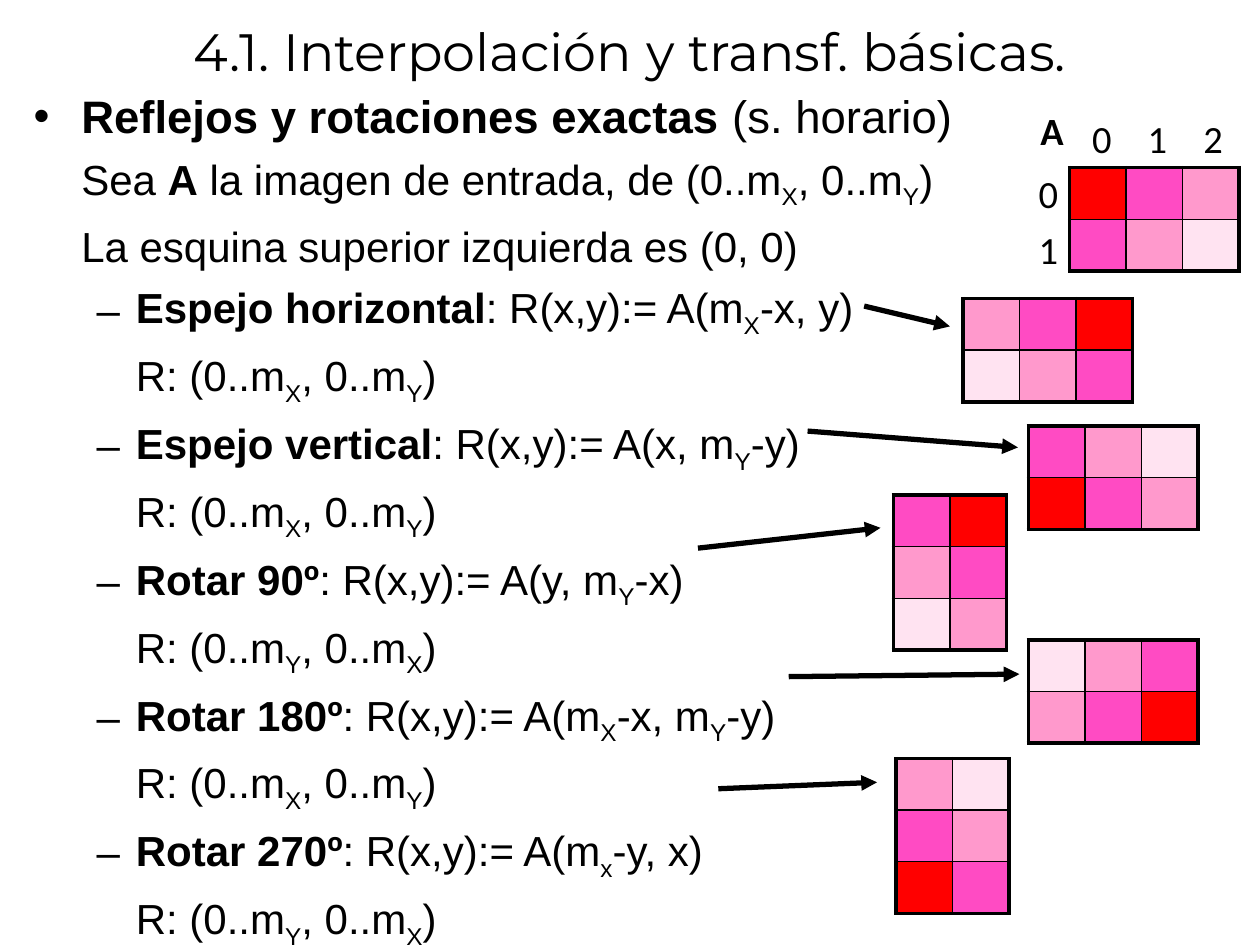
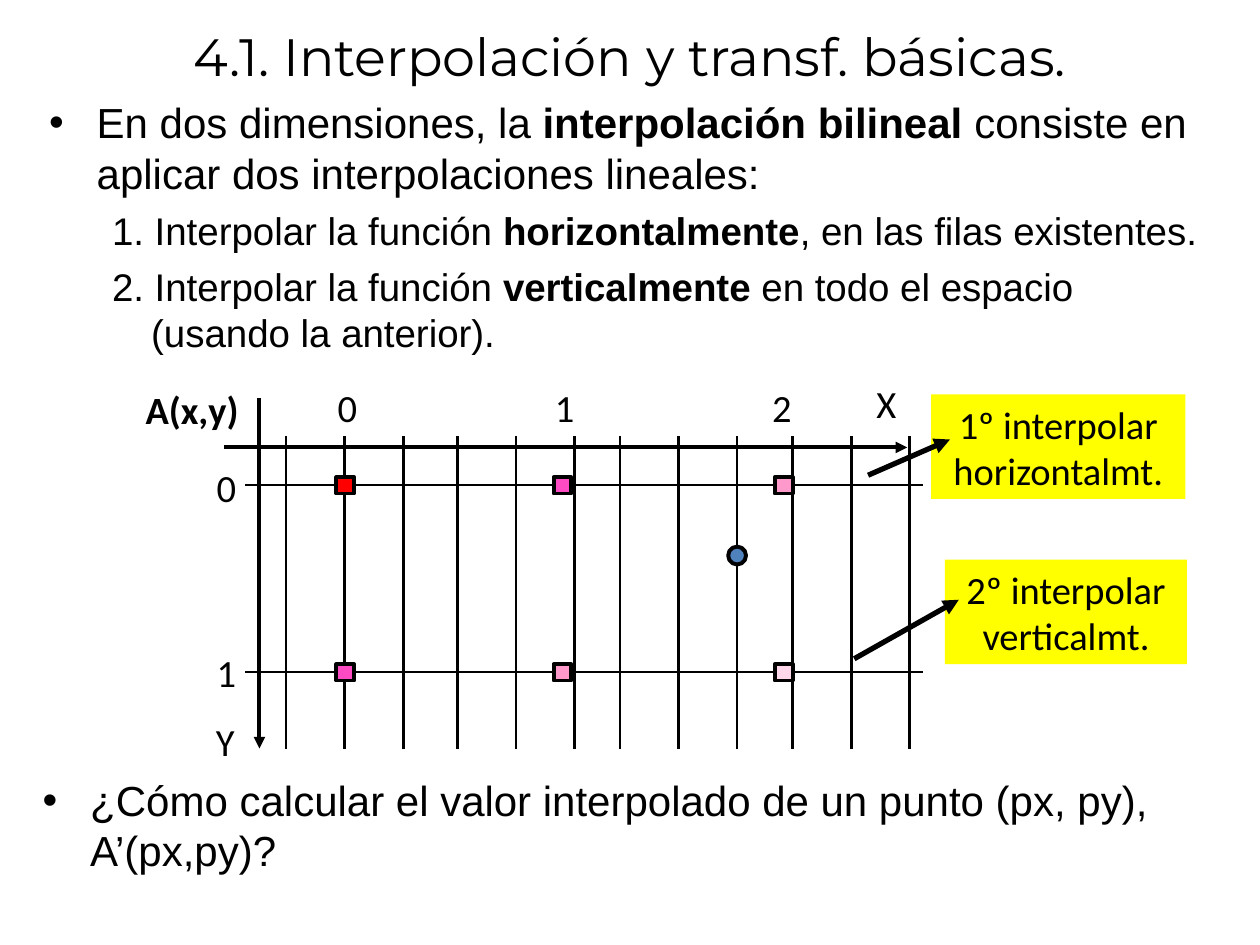
from lxml import etree
from pptx import Presentation
from pptx.dml.color import RGBColor
from pptx.enum.shapes import MSO_CONNECTOR, MSO_SHAPE
from pptx.enum.text import MSO_ANCHOR, PP_ALIGN
from pptx.oxml.ns import qn
from pptx.util import Cm, Pt

STRAIGHT = MSO_CONNECTOR.STRAIGHT
RECTANGLE = MSO_SHAPE.RECTANGLE
OVAL = MSO_SHAPE.OVAL
MIDDLE = MSO_ANCHOR.MIDDLE
TOP = MSO_ANCHOR.TOP
CENTER = PP_ALIGN.CENTER
RIGHT = PP_ALIGN.RIGHT

BLACK, YELLOW, BLUE = "000000", "FFFF00", "4F81BD"
RED, MAGENTA, PINK, PALE, PALE_SAMPLE = "FF0000", "FF4BC3", "FF99CC", "FFE3F1", "FFD7EB"
TITLE_FONT, BODY_FONT, LABEL_FONT = "Montserrat", "Arial", "Calibri"
TITLE = "4.1. Interpolación y transf. básicas."
LABEL_SIZE = 22
CELL_WIDTH, CELL_HEIGHT = 1.14, 1.04
IMAGE_A = [[RED, MAGENTA, PINK], [MAGENTA, PINK, PALE]]

LEVELS = {
    "bullet": (0.96, -0.96, "•"),
    "plain": (0.96, 0, None),
    "dash": (2.06, -0.79, "–"),
    "subplain": (2.06, 0, None),
    "step": (2.06, -0.79, None),
}


def color(hex_code):
    """Turn a hex string into a colour."""
    return RGBColor.from_string(hex_code)


def add_run(paragraph, text, font, size, bold=False, subscript=False):
    """Add one formatted black run to a paragraph."""
    run = paragraph.add_run()
    run.text = text
    run.font.name = font
    run.font.size = Pt(size)
    run.font.bold = bold
    run.font.color.rgb = color(BLACK)
    if subscript:
        run._r.get_or_add_rPr().set("baseline", "-25000")


def add_marked_runs(paragraph, text, size):
    """Add runs, with *bold* and ~subscript~ marks in the text."""
    for bold_index, part in enumerate(text.split("*")):
        for sub_index, piece in enumerate(part.split("~")):
            if piece:
                add_run(paragraph, piece, BODY_FONT, size, bold_index % 2 == 1, sub_index % 2 == 1)


def set_level(paragraph, level):
    """Set the indents and the bullet of a paragraph."""
    margin, indent, bullet = LEVELS[level]
    properties = paragraph._p.get_or_add_pPr()
    properties.set("marL", str(Cm(margin)))
    properties.set("indent", str(Cm(indent)))
    if bullet:
        etree.SubElement(properties, qn("a:buFont")).set("typeface", BODY_FONT)
        etree.SubElement(properties, qn("a:buChar")).set("char", bullet)


def add_text_frame(slide, left, top, width, height, anchor=TOP):
    """Add a wrapping text box and return its text frame."""
    box = slide.shapes.add_textbox(Cm(left), Cm(top), Cm(width), Cm(height))
    box.text_frame.word_wrap = True
    box.text_frame.vertical_anchor = anchor
    return box.text_frame


def add_title(slide, height):
    """Add the title shared by the slides."""
    paragraph = add_text_frame(slide, 0.5, 0, 24.4, height, MIDDLE).paragraphs[0]
    paragraph.alignment = CENTER
    add_run(paragraph, TITLE, TITLE_FONT, 30)


def add_body(slide, left, top, width, height, lines):
    """Add a box of (level, size, text) lines."""
    frame = add_text_frame(slide, left, top, width, height)
    for index, (level, size, text) in enumerate(lines):
        paragraph = frame.add_paragraph() if index else frame.paragraphs[0]
        set_level(paragraph, level)
        if index:
            paragraph.space_before = Pt(size * 0.25)
        add_marked_runs(paragraph, text, size)


def add_label(slide, text, left, top, width=0.97, bold=False):
    """Add a short right-aligned label."""
    paragraph = add_text_frame(slide, left, top, width, 1.19).paragraphs[0]
    paragraph.alignment = RIGHT
    add_run(paragraph, text, LABEL_FONT, LABEL_SIZE, bold)


def add_line(slide, start, end, width, arrow=False):
    """Draw a black line, with an arrowhead at its end if asked."""
    connector = slide.shapes.add_connector(STRAIGHT, *map(Cm, start + end))
    connector.line.color.rgb = color(BLACK)
    connector.line.width = Pt(width)
    properties = connector._element.spPr
    if arrow:
        etree.SubElement(properties.find(qn("a:ln")), qn("a:tailEnd")).set("type", "triangle")
    etree.SubElement(properties, qn("a:effectLst"))


def add_filled_shape(slide, kind, left, top, width, height, fill, outlined=True):
    """Add a filled shape with an optional black outline."""
    shape = slide.shapes.add_shape(kind, Cm(left), Cm(top), Cm(width), Cm(height))
    shape.shadow.inherit = False
    shape.fill.solid()
    shape.fill.fore_color.rgb = color(fill)
    if outlined:
        shape.line.color.rgb = color(BLACK)
        shape.line.width = Pt(2.25)
    else:
        shape.line.fill.background()
    return shape


def add_callout(slide, left, top, width, text):
    """Add a yellow note."""
    shape = add_filled_shape(slide, RECTANGLE, left, top, width, 2.11, YELLOW, False)
    shape.text_frame.word_wrap = True
    shape.text_frame.vertical_anchor = TOP
    paragraph = shape.text_frame.paragraphs[0]
    paragraph.alignment = CENTER
    add_run(paragraph, text, LABEL_FONT, LABEL_SIZE)


def set_border(cell, side, width):
    """Give one side of a cell a black border."""
    border = etree.SubElement(cell._tc.get_or_add_tcPr(), qn(f"a:ln{side}"), w=str(Pt(width)))
    fill = etree.SubElement(border, qn("a:solidFill"))
    etree.SubElement(fill, qn("a:srgbClr"), val=BLACK)


def add_pixel_table(slide, left, top, pixels):
    """Draw a matrix of pixel colours as a table with a thick frame."""
    row_count, column_count = len(pixels), len(pixels[0])
    table = slide.shapes.add_table(
        row_count, column_count, Cm(left), Cm(top),
        Cm(CELL_WIDTH * column_count), Cm(CELL_HEIGHT * row_count)).table
    table.first_row = table.horz_banding = False
    for column in table.columns:
        column.width = Cm(CELL_WIDTH)
    for row_index, row in enumerate(pixels):
        table.rows[row_index].height = Cm(CELL_HEIGHT)
        for column_index, pixel in enumerate(row):
            cell = table.cell(row_index, column_index)
            outer_sides = {
                "L": column_index == 0,
                "R": column_index == column_count - 1,
                "T": row_index == 0,
                "B": row_index == row_count - 1,
            }
            for side, is_outer in outer_sides.items():
                set_border(cell, side, 2.25 if is_outer else 1)
            cell.fill.solid()
            cell.fill.fore_color.rgb = color(pixel)


def build_exact_transforms(slide):
    """Build the slide on mirrors and exact rotations."""
    add_title(slide, 2.03)
    same_size = ("subplain", 24, "R: (0..m~X~, 0..m~Y~)")
    swapped_size = ("subplain", 24, "R: (0..m~Y~, 0..m~X~)")
    add_body(slide, 0.43, 1.65, 20.5, 16.38, [
        ("bullet", 26, "*Reflejos y rotaciones exactas* (s. horario)"),
        ("plain", 24, "Sea *A* la imagen de entrada, de (0..m~X~, 0..m~Y~)"),
        ("plain", 24, "La esquina superior izquierda es (0, 0)"),
        ("dash", 24, "*Espejo horizontal*: R(x,y):= A(m~X~-x, y)"),
        same_size,
        ("dash", 24, "*Espejo vertical*: R(x,y):= A(x, m~Y~-y)"),
        same_size,
        ("dash", 24, "*Rotar 90º*: R(x,y):= A(y, m~Y~-x)"),
        swapped_size,
        ("dash", 24, "*Rotar 180º*: R(x,y):= A(m~X~-x, m~Y~-y)"),
        same_size,
        ("dash", 24, "*Rotar 270º*: R(x,y):= A(m~x~-y, x)"),
        swapped_size,
    ])

    mirrored = [row[::-1] for row in IMAGE_A]
    flipped = IMAGE_A[::-1]
    tables = [
        (21.56, 3.38, IMAGE_A),
        (19.41, 6.02, mirrored),
        (20.73, 8.59, flipped),
        (18.01, 9.98, list(zip(*flipped))),
        (20.73, 12.9, mirrored[::-1]),
        (18.06, 15.29, list(zip(*IMAGE_A))[::-1]),
    ]
    for left, top, pixels in tables:
        add_pixel_table(slide, left, top, pixels)

    arrows = [
        ((17.42, 6.17), (19.15, 6.58)),
        ((16.28, 8.69), (20.52, 9.02)),
        ((14.07, 11.05), (17.75, 10.64)),
        ((15.9, 13.64), (20.55, 13.59)),
        ((14.48, 15.9), (17.68, 15.77)),
    ]
    for start, end in arrows:
        add_line(slide, start, end, 3, True)

    add_label(slide, "A", 20.55, 2.03, 1.14, True)
    for column in range(3):
        add_label(slide, str(column), 21.69 + 1.12 * column, 2.19)
    for row in range(2):
        add_label(slide, str(row), 20.61, 3.3 + 1.14 * row)


def build_bilinear(slide):
    """Build the slide on bilinear interpolation."""
    for group_left in (5.77, 9.22, 12.5, 15.98):
        for step in range(3):
            left = group_left + 1.18 * step
            add_line(slide, (left, 8.79), (left, 15.1), 1.5)

    add_title(slide, 2.26)
    add_body(slide, 0.74, 1.83, 24.05, 5.56, [
        ("bullet", 24, "En dos dimensiones, la *interpolación bilineal* consiste en "
                       "aplicar dos interpolaciones lineales:"),
        ("step", 22, "1. Interpolar la función *horizontalmente*, en las filas existentes."),
        ("step", 22, "2. Interpolar la función *verticalmente* en todo el espacio "
                     "(usando la anterior)."),
    ])

    add_callout(slide, 18.77, 7.95, 5.13, "1º interpolar horizontalmt.")
    add_line(slide, (17.5, 9.58), (19.15, 8.86), 3, True)
    add_callout(slide, 19.05, 11.28, 4.88, "2º interpolar verticalmt.")
    add_line(slide, (17.22, 13.28), (19.33, 12.09), 3, True)

    add_line(slide, (4.52, 9.02), (18.29, 9.02), 2.25, True)
    add_line(slide, (5.23, 8.03), (5.23, 15.09), 2.25, True)
    add_label(slide, "A(x,y)", 2.11, 7.65, 2.95, True)
    add_label(slide, "X", 17.35, 7.54)
    add_label(slide, "Y", 3.86, 14.35, 1.12)
    for column in range(3):
        add_label(slide, str(column), 6.48 + 4.38 * column, 7.62)

    samples = [IMAGE_A[0], [MAGENTA, PINK, PALE_SAMPLE]]
    for row, fills in enumerate(samples):
        offset = 3.77 * row
        add_label(slide, str(row), 4.04, 9.22 + 3.73 * row)
        add_line(slide, (4.94, 9.78 + offset), (18.6, 9.78 + offset), 1.5)
        for left, fill in zip((6.78, 11.16, 15.62), fills):
            add_filled_shape(slide, RECTANGLE, left, 9.62 + offset, 0.36, 0.33, fill)

    add_body(slide, 0.61, 15.49, 24.05, 2.29, [
        ("bullet", 24, "¿Cómo calcular el valor interpolado de un punto (px, py), A’(px,py)?"),
    ])
    add_filled_shape(slide, OVAL, 14.68, 11.02, 0.36, 0.36, BLUE)


def main():
    """Create the presentation and save it."""
    presentation = Presentation()
    presentation.slide_width = Cm(25.4)
    presentation.slide_height = Cm(19.05)
    blank = presentation.slide_layouts[6]
    for build in (build_exact_transforms, build_bilinear):
        build(presentation.slides.add_slide(blank))
    presentation.save("out.pptx")


if __name__ == "__main__":
    main()
